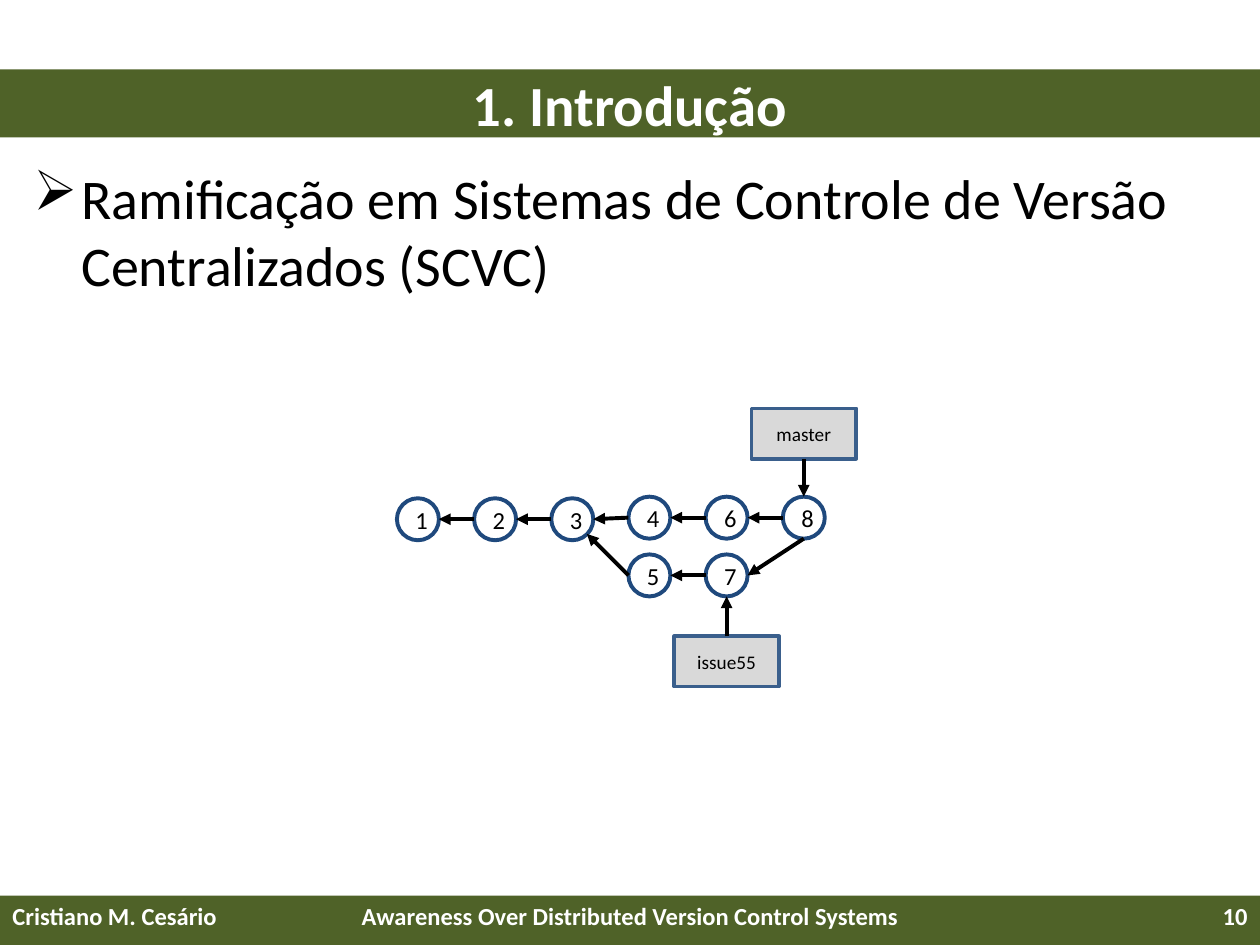
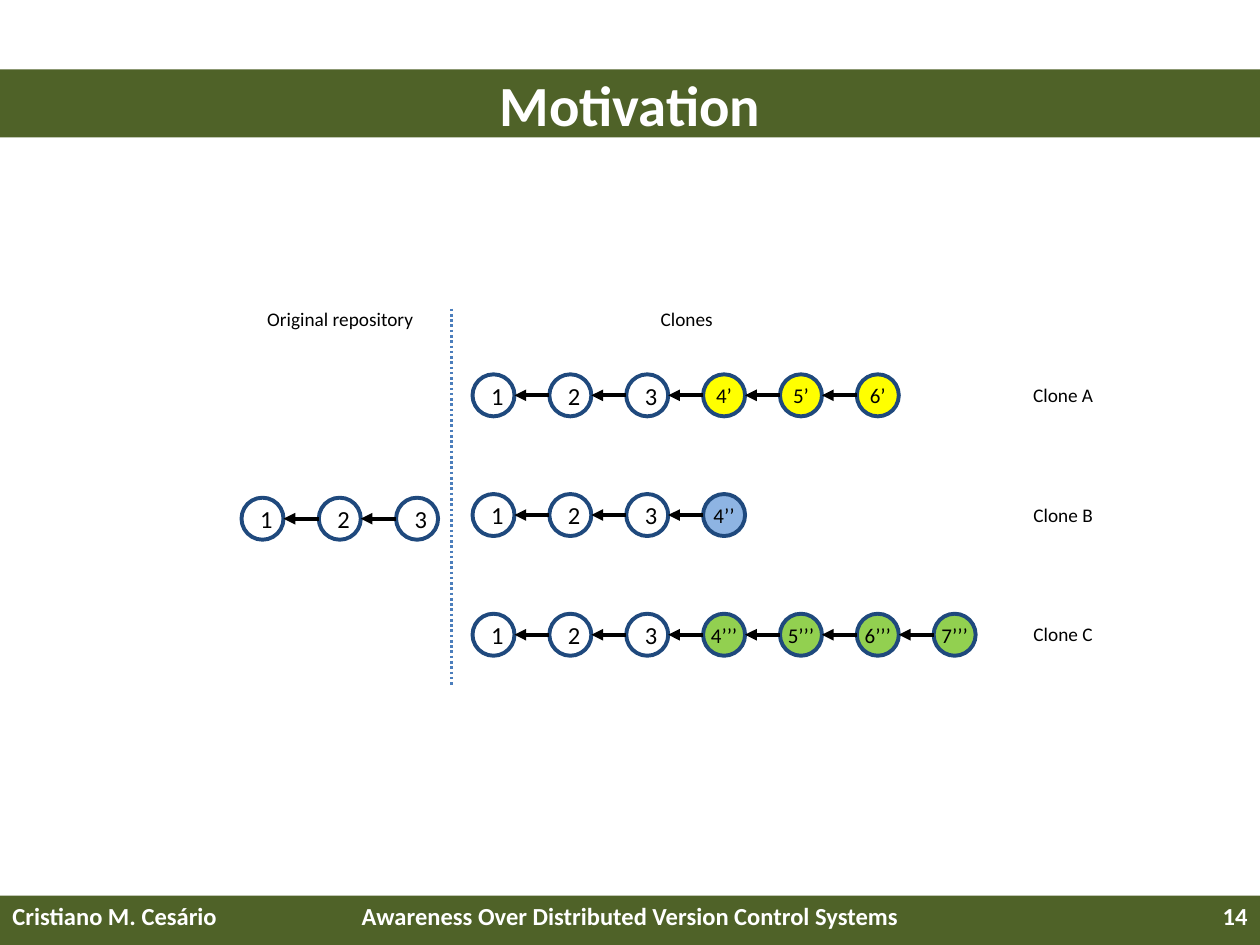
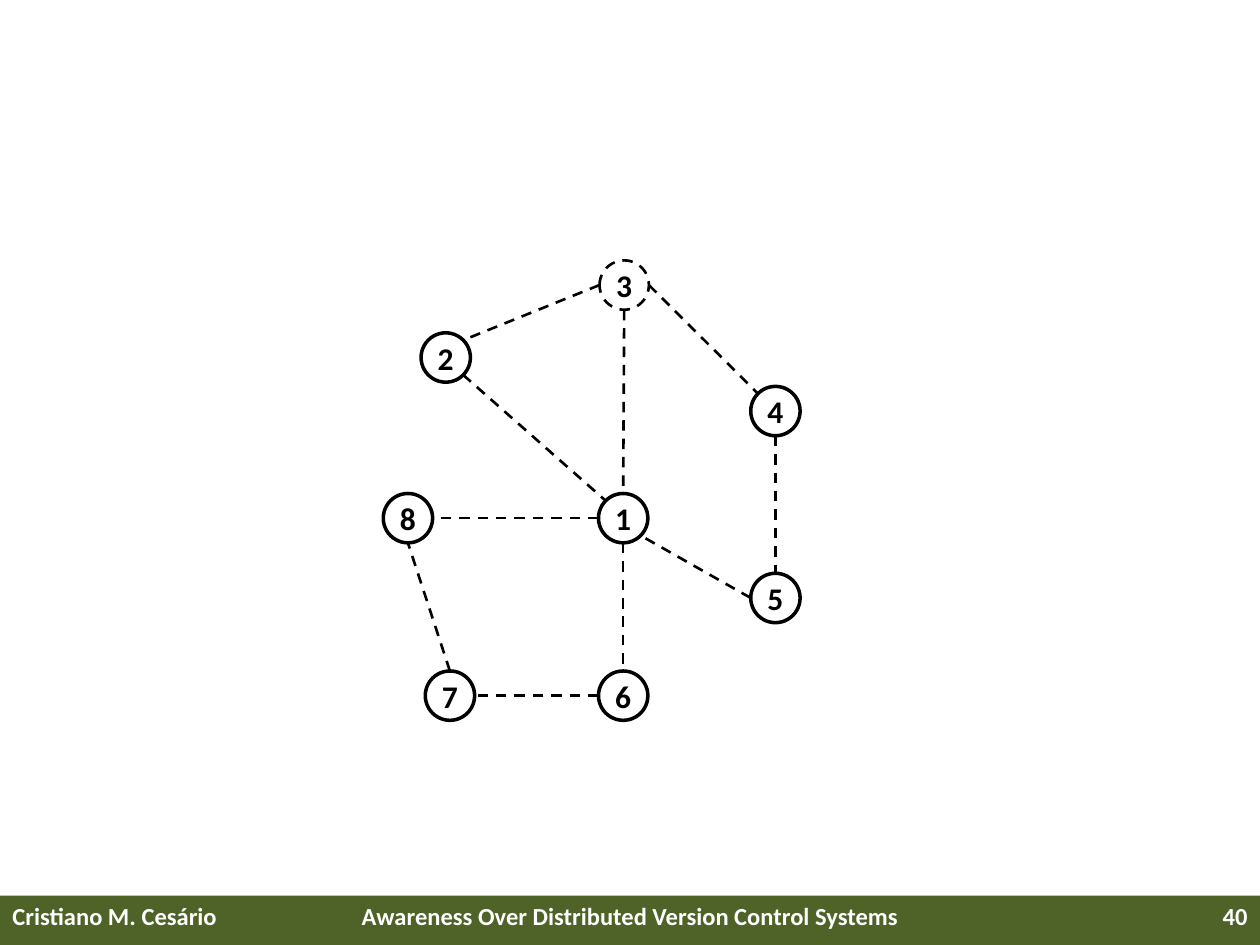
import collections

import lxml.etree
import pptx
import pptx.dml.color
import pptx.enum.dml
import pptx.enum.shapes
import pptx.enum.text
import pptx.oxml.ns
import pptx.util

Box = collections.namedtuple("Box", "left top width height")
ALIGN = pptx.enum.text.PP_ALIGN
ANCHOR = pptx.enum.text.MSO_ANCHOR
SHAPE = pptx.enum.shapes.MSO_SHAPE
DASH = pptx.enum.dml.MSO_LINE

COLUMNS, ROWS = 120, 90
CELL = pptx.util.Inches(10) / COLUMNS
PAGE = Box(0, 0, COLUMNS, ROWS)

FONT = "Calibri"
OLIVE, WHITE, BLACK = "4F6228", "FFFFFF", "000000"
NAVY, STEEL, DIVIDER_BLUE, LABEL_GREY = "1F497D", "3A5F8C", "4B7EBC", "D9D9D9"
YELLOW, SKY, GREEN = "FFFF00", "8EB4E3", "92D050"

COMMIT_SIZE = 4
LABEL_WIDTH, LABEL_HEIGHT = 10, 4.8
PEER_SIZE = 4.7
DIAGONAL = 0.35
SIDES = {
    "n": (0, -0.5), "s": (0, 0.5), "w": (-0.5, 0), "e": (0.5, 0),
    "nw": (-DIAGONAL, -DIAGONAL), "ne": (DIAGONAL, -DIAGONAL),
    "se": (DIAGONAL, DIAGONAL),
}


def color(hex_code):
    """Turn a hex string into a colour."""
    return pptx.dml.color.RGBColor.from_string(hex_code)


def emu(box):
    """Turn a box in grid cells into slide lengths."""
    return [round(cells * CELL) for cells in box]


def write(shape, text, size, ink=BLACK, bold=False, align=ALIGN.CENTER, anchor=ANCHOR.MIDDLE):
    """Set the text of a shape and format it."""
    frame = shape.text_frame
    frame.text = text
    frame.word_wrap = True
    frame.vertical_anchor = anchor
    paragraph = frame.paragraphs[0]
    paragraph.alignment = align
    font = paragraph.runs[0].font
    font.name, font.size, font.bold = FONT, pptx.util.Pt(size), bold
    font.color.rgb = color(ink)


def add_text(slide, box, text, size, **style):
    """Add a text box."""
    text_box = slide.shapes.add_textbox(*emu(box))
    write(text_box, text, size, **style)
    return text_box


def add_figure(slide, kind, box, fill=None, line=None, weight=2.25, dash=None):
    """Add a flat preset shape with an optional fill and outline."""
    figure = slide.shapes.add_shape(kind, *emu(box))
    figure.shadow.inherit = False
    if fill:
        figure.fill.solid()
        figure.fill.fore_color.rgb = color(fill)
    else:
        figure.fill.background()
    if line:
        figure.line.color.rgb = color(line)
        figure.line.width = pptx.util.Pt(weight)
        figure.line.dash_style = dash
    else:
        figure.line.fill.background()
    return figure


def add_line(slide, start, end, ink=BLACK, weight=2.25, dash=None, arrow=False):
    """Draw a straight line between two points."""
    straight = pptx.enum.shapes.MSO_CONNECTOR.STRAIGHT
    connector = slide.shapes.add_connector(straight, *start, *end)
    connector.line.color.rgb = color(ink)
    connector.line.width = pptx.util.Pt(weight)
    connector.line.dash_style = dash
    qn = pptx.oxml.ns.qn
    if arrow:
        outline = connector.line._get_or_add_ln()
        lxml.etree.SubElement(outline, qn("a:tailEnd"), type="triangle")
    lxml.etree.SubElement(connector._element.spPr, qn("a:effectLst"))


def side(shape, name):
    """Return the point on the named side of a shape."""
    across, down = SIDES[name]
    return (round(shape.left + shape.width * (0.5 + across)),
            round(shape.top + shape.height * (0.5 + down)))


def add_arrow(slide, source, source_side, target, target_side):
    """Draw an arrow from one shape to another."""
    add_line(slide, side(source, source_side), side(target, target_side), arrow=True)


def add_title(slide, text):
    """Add the title band."""
    band = add_figure(slide, SHAPE.RECTANGLE, Box(0, 6.6, PAGE.width, 6.5), OLIVE)
    write(band, text, 32.4, WHITE, True)


def add_footer(slide, number):
    """Add the footer band with author, subject and slide number."""
    add_figure(slide, SHAPE.RECTANGLE, Box(0, 85.3, PAGE.width, 4.7), OLIVE)
    entries = (
        (0, 28, "Cristiano M. Cesário", ALIGN.LEFT),
        (29, 62, "Awareness Over Distributed Version Control Systems", ALIGN.CENTER),
        (92, 28, str(number), ALIGN.RIGHT),
    )
    for left, width, text, align in entries:
        add_text(slide, Box(left, 85.2, width, 4.8), text, 14,
                 ink=WHITE, bold=True, align=align, anchor=ANCHOR.TOP)


def add_bullet(slide, box, text):
    """Add a paragraph with an arrowhead bullet."""
    body = add_text(slide, box, text, 32, align=ALIGN.LEFT, anchor=ANCHOR.TOP)
    properties = body.text_frame.paragraphs[0]._p.get_or_add_pPr()
    indent = pptx.util.Inches(0.38)
    properties.set("marL", str(indent))
    properties.set("indent", str(-indent))
    lxml.etree.SubElement(properties, pptx.oxml.ns.qn("a:buChar"), char="➢")


def add_commit(slide, left, top, text, fill=None):
    """Add a commit circle; filled ones carry local commits."""
    box = Box(left, top, COMMIT_SIZE, COMMIT_SIZE)
    commit = add_figure(slide, SHAPE.OVAL, box, fill, NAVY)
    write(commit, text, 12 if fill else 14)
    if fill:
        commit.text_frame.margin_left = commit.text_frame.margin_right = 0
    return commit


def add_chain(slide, box, names, fill=None, parent=None, first_column=0, pitch=7.32):
    """Add a row of commits, each pointing at the one before."""
    commits = []
    for column, name in enumerate(names, first_column):
        commit = add_commit(slide, box.left + column * pitch, box.top, name, fill)
        if parent:
            add_arrow(slide, commit, "w", parent, "e")
        commits.append(commit)
        parent = commit
    return commits


def add_branch_label(slide, box, text):
    """Add a grey branch name box."""
    label = add_figure(slide, SHAPE.RECTANGLE, box, LABEL_GREY, STEEL, 2)
    write(label, text, 11)
    return label


def add_branch_history(slide, box):
    """Draw a trunk, a branch and the labels on their heads."""
    pitch = box.width / 6
    trunk = add_chain(slide, box._replace(top=box.top + 8.55), "123", pitch=pitch)
    master = add_chain(slide, box._replace(top=box.top + 8.4), "468",
                       parent=trunk[-1], first_column=3, pitch=pitch)
    issue = add_chain(slide, box._replace(top=box.top + 13.9), "57",
                      first_column=3, pitch=pitch)
    add_arrow(slide, issue[0], "w", trunk[-1], "se")
    add_arrow(slide, master[-1], "s", issue[-1], "e")

    overhang = (LABEL_WIDTH - COMMIT_SIZE) / 2
    labels = (
        ("master", master[-1], 5, 0, "s", "n"),
        ("issue55", issue[-1], 4, box.height - LABEL_HEIGHT, "n", "s"),
    )
    for text, head, column, row, label_side, head_side in labels:
        label_box = Box(box.left + column * pitch - overhang, box.top + row,
                        LABEL_WIDTH, LABEL_HEIGHT)
        label = add_branch_label(slide, label_box, text)
        add_arrow(slide, label, label_side, head, head_side)


def add_repositories(slide, box):
    """Draw the source repository beside its three clones."""
    for left, heading in ((0.8, "Original repository"), (33.8, "Clones")):
        add_text(slide, Box(box.left + left, box.top, 17.2, LABEL_HEIGHT), heading, 11)
    divider = box.left + 20
    line_ends = emu((divider, box.top + 1.4, divider, box.top + box.height))
    add_line(slide, line_ends[:2], line_ends[2:], DIVIDER_BLUE, 1.5, DASH.ROUND_DOT)

    add_chain(slide, box._replace(top=box.top + 19.4), "123", pitch=7.36)
    clones = (
        ("Clone A", YELLOW, ("4’", "5’", "6’")),
        ("Clone B", SKY, ("4’’",)),
        ("Clone C", GREEN, ("4’’’", "5’’’", "6’’’", "7’’’")),
    )
    for row, (name, fill, local_commits) in enumerate(clones):
        clone = box._replace(left=box.left + 22, top=box.top + 7.65 + row * 11.4)
        shared = add_chain(slide, clone, "123")
        add_chain(slide, clone, local_commits, fill, shared[-1], len(shared))
        label_box = Box(box.left + 73.25, clone.top - 0.45, LABEL_WIDTH, LABEL_HEIGHT)
        add_text(slide, label_box, name, 11)


def add_peer_network(slide, box):
    """Draw numbered peers joined by dashed links."""
    places = {
        "1": (20.5, 22.2), "2": (3.6, 6.9), "3": (20.6, 0), "4": (35, 12),
        "5": (35, 29.8), "6": (20.5, 39.1), "7": (4, 39.1), "8": (0, 22.2),
    }
    peers = {}
    for name, (column, row) in places.items():
        absent = name == "3"
        peer_box = Box(box.left + column, box.top + row, PEER_SIZE, PEER_SIZE)
        peer = add_figure(slide, SHAPE.OVAL, peer_box, line=BLACK,
                          weight=1.5 if absent else 2, dash=DASH.DASH if absent else None)
        write(peer, name, 18, bold=True)
        frame = peer.text_frame
        frame.margin_left = frame.margin_right = pptx.util.Inches(0.04)
        frame.margin_top = frame.margin_bottom = pptx.util.Inches(0.04)
        peers[name] = peer

    links = (
        ("3", "s", "1", "n"), ("3", "w", "2", "ne"), ("1", "w", "8", "e"),
        ("1", "s", "6", "n"), ("6", "w", "7", "e"), ("2", "se", "1", "nw"),
        ("3", "e", "4", "nw"), ("4", "s", "5", "n"), ("5", "w", "1", "se"),
        ("7", "n", "8", "s"),
    )
    for source, source_side, target, target_side in links:
        add_line(slide, side(peers[source], source_side),
                 side(peers[target], target_side), weight=1.5, dash=DASH.DASH)


def add_page(deck, number, title=None):
    """Add a blank slide with the shared bands."""
    slide = deck.slides.add_slide(deck.slide_layouts[6])
    add_footer(slide, number)
    if title:
        add_title(slide, title)
    return slide


def main():
    """Build the deck."""
    deck = pptx.Presentation()
    deck.slide_width = round(COLUMNS * CELL)
    deck.slide_height = round(ROWS * CELL)

    introduction = add_page(deck, 10, "1. Introdução")
    add_bullet(introduction, Box(2, 15, 116, 69),
               "Ramificação em Sistemas de Controle de Versão Centralizados (SCVC)")
    add_branch_history(introduction, Box(37.8, 38.9, 44.1, 26.5))

    motivation = add_page(deck, 14, "Motivation")
    add_repositories(motivation, Box(23, 28, 84, 37.4))

    network = add_page(deck, 40)
    add_peer_network(network, Box(36.5, 24.8, 39.7, 43.8))

    deck.save("out.pptx")


if __name__ == "__main__":
    main()
